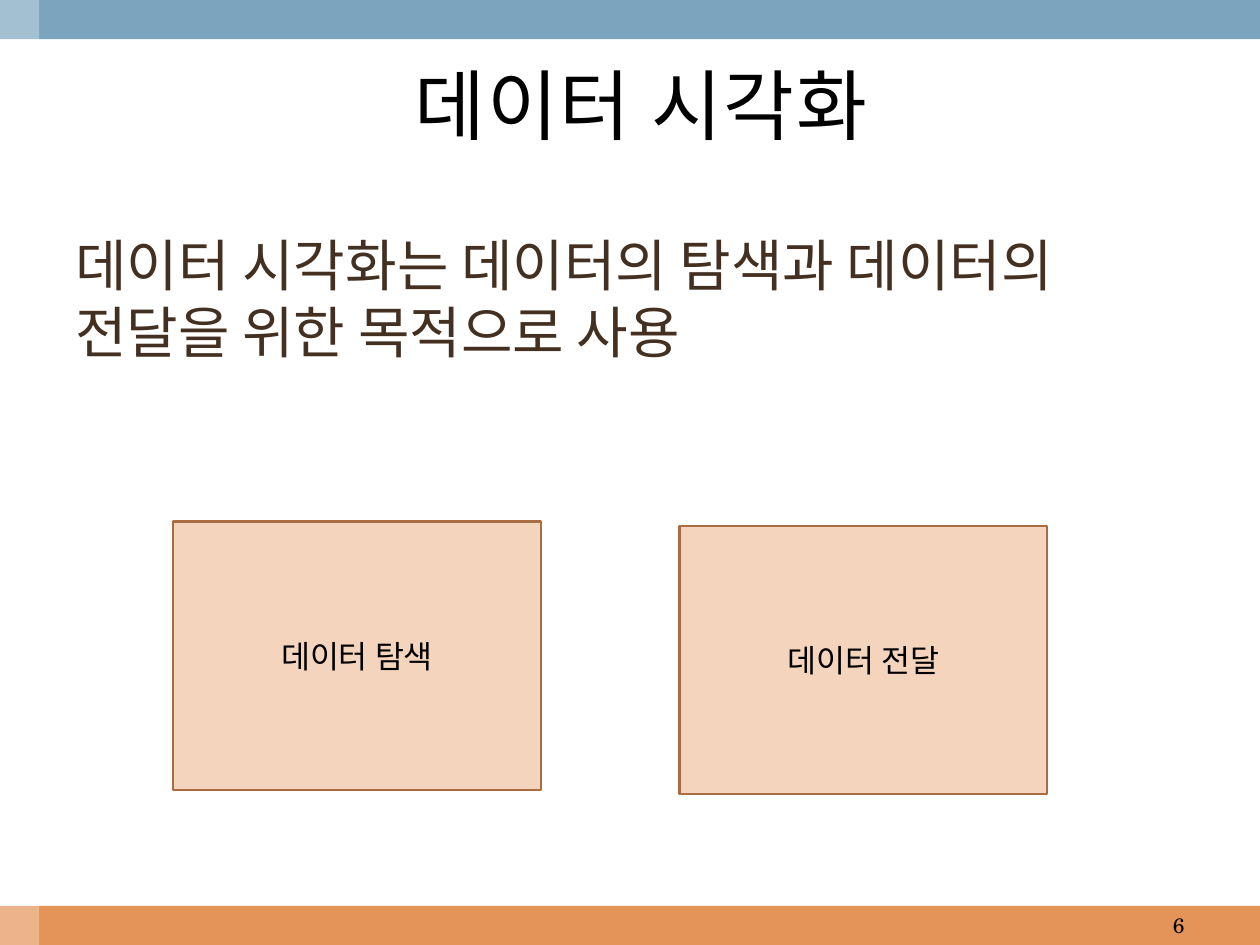
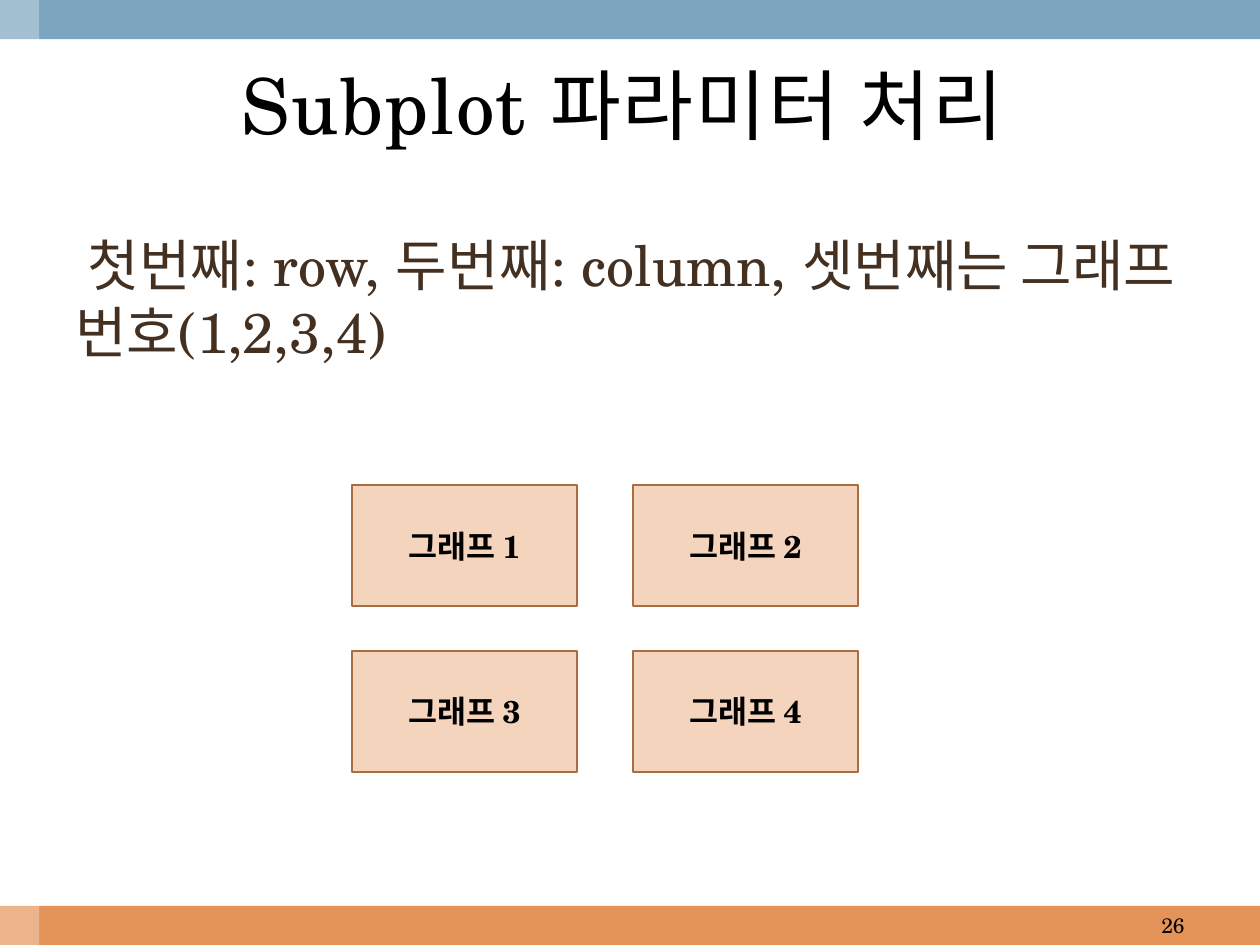
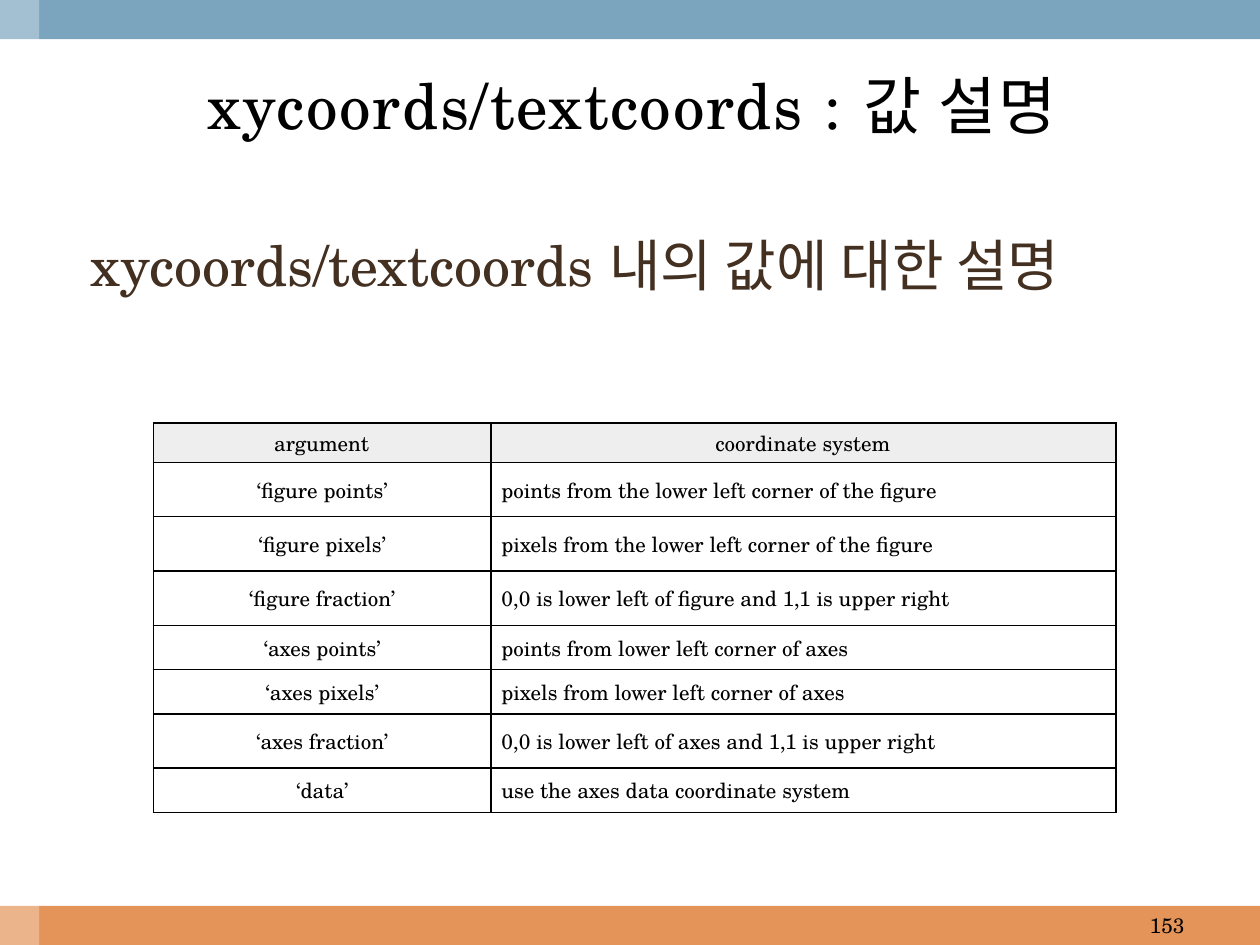
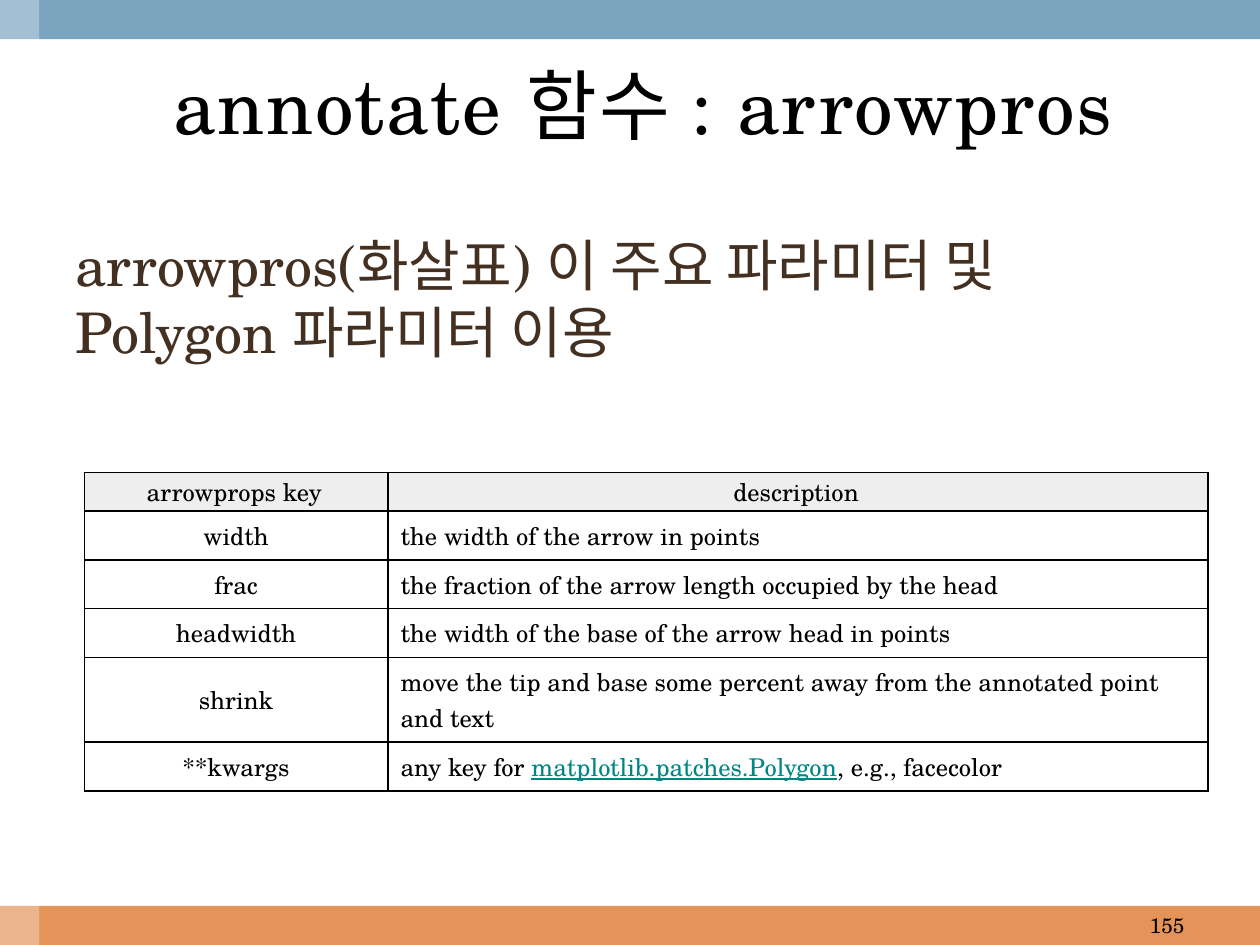
from lxml import etree
from pptx import Presentation
from pptx.dml.color import RGBColor
from pptx.enum.shapes import MSO_SHAPE
from pptx.enum.text import MSO_ANCHOR, PP_ALIGN
from pptx.oxml.ns import qn
from pptx.util import Pt

RECTANGLE = MSO_SHAPE.RECTANGLE
MIDDLE, TOP = MSO_ANCHOR.MIDDLE, MSO_ANCHOR.TOP
LEFT, CENTER, RIGHT = PP_ALIGN.LEFT, PP_ALIGN.CENTER, PP_ALIGN.RIGHT

FONT = "TeX Gyre Schola"
WIDTH, HEIGHT, BAND = 720, 540, 22.4
COLORS = {
    "top": "7BA5BE", "bottom": "E49458", "white": "FFFFFF", "black": "000000",
    "body": "433021", "box": "F4D4BC", "box line": "A96D41",
    "header": "EEEEEE", "link": "008685",
}
BODY_INSETS = (7.2, 3.6, 7.2, 3.6)


def rgb(name):
    return RGBColor.from_string(COLORS[name])


# Text
def set_format(target, values):
    for name, value in values.items():
        setattr(target, name, value)


def add_run(paragraph, text, size, color="black", **values):
    run = paragraph.add_run()
    run.text = text
    set_format(run.font, {"name": FONT, "size": Pt(size), **values})
    run.font.color.rgb = rgb(color)
    return run


def add_text(slide, box, text, size, color="black", align=LEFT, anchor=MIDDLE):
    frame = slide.shapes.add_textbox(*map(Pt, box)).text_frame
    set_format(frame, {"word_wrap": True, "vertical_anchor": anchor})
    paragraph = frame.paragraphs[0]
    paragraph.alignment = align
    return add_run(paragraph, text, size, color)


# Shapes
def add_rectangle(shapes, box, fill, line=None):
    shape = shapes.add_shape(RECTANGLE, *map(Pt, box))
    shape.shadow.inherit = False
    shape.fill.solid()
    shape.fill.fore_color.rgb = rgb(fill)
    if line:
        shape.line.color.rgb = rgb(line)
        shape.line.width = Pt(1.25)
    else:
        shape.line.fill.background()
    return shape


def add_labelled_box(shapes, box, label, bold=False):
    frame = add_rectangle(shapes, box, "box", "box line").text_frame
    set_format(frame, {"word_wrap": True, "vertical_anchor": MIDDLE})
    paragraph = frame.paragraphs[0]
    paragraph.alignment = CENTER
    add_run(paragraph, label, 18, bold=bold)


# Tables
def set_borders(cell):
    properties = cell._tc.get_or_add_tcPr()
    for index, side in enumerate(("lnL", "lnR", "lnT", "lnB")):
        line = etree.Element(qn("a:" + side), w=str(Pt(1)))
        fill = etree.SubElement(line, qn("a:solidFill"))
        etree.SubElement(fill, qn("a:srgbClr"), val=COLORS["black"])
        properties.insert(index, line)


def fill_cell(cell, content, size, fill, align, insets):
    sides = ("margin_left", "margin_top", "margin_right", "margin_bottom")
    set_format(cell, dict(zip(sides, map(Pt, insets)), vertical_anchor=MIDDLE))
    cell.fill.solid()
    cell.fill.fore_color.rgb = rgb(fill)
    set_borders(cell)
    paragraph = cell.text_frame.paragraphs[0]
    paragraph.alignment = align
    pieces = [(content, "black")] if isinstance(content, str) else content
    for text, color in pieces:
        add_run(paragraph, text, size, color, underline=color == "link")


def add_table(slide, left, top, widths, heights, rows, size, header_insets, column_insets):
    table = slide.shapes.add_table(
        len(rows), len(widths), Pt(left), Pt(top), Pt(sum(widths)), Pt(sum(heights))
    ).table
    set_format(table, {"first_row": False, "horz_banding": False})
    for column, width in zip(table.columns, widths):
        column.width = Pt(width)
    for row, height in zip(table.rows, heights):
        row.height = Pt(height)
    for row_index, row in enumerate(rows):
        for column_index, content in enumerate(row):
            is_header = row_index == 0
            fill_cell(
                table.cell(row_index, column_index), content, size,
                "header" if is_header else "white",
                CENTER if is_header or column_index == 0 else LEFT,
                header_insets if is_header else column_insets[column_index],
            )


# Bands, body, page number and title shared by all slides
def add_slide(presentation, title, body, number, title_size=44):
    slide = presentation.slides.add_slide(presentation.slide_layouts[6])
    add_rectangle(slide.shapes, (0, HEIGHT - BAND, WIDTH, BAND), "bottom")
    add_rectangle(slide.shapes, (0, 0, WIDTH, BAND), "top")
    side = add_rectangle(slide.shapes, (0, 0, BAND, HEIGHT), "white")
    color = side._element.spPr.find(qn("a:solidFill"))[0]
    etree.SubElement(color, qn("a:alpha"), val="30000")

    add_text(slide, (36, 128, 648, 130), body, 32, "body", anchor=TOP)
    add_text(slide, (516, HEIGHT - BAND, 168, BAND), str(number), 12, align=RIGHT)
    run = add_text(slide, (24, 22.5, 674, 74), title, title_size, align=CENTER)
    run.font._element.set("spc", "100")
    return slide


def build_purpose(presentation):
    slide = add_slide(
        presentation, " 데이터 시각화",
        "데이터 시각화는 데이터의 탐색과 데이터의 전달을 위한 목적으로 사용", 6)
    for left, top, label in ((99, 298, "데이터 탐색"), (388.3, 300.5, "데이터 전달")):
        add_labelled_box(slide.shapes, (left, top, 210, 153.4), label)


def build_subplots(presentation):
    slide = add_slide(
        presentation, "Subplot 파라미터 처리 ",
        " 첫번째: row, 두번째: column, 셋번째는 그래프 번호(1,2,3,4)", 26)
    grid = slide.shapes.add_group_shape().shapes
    for index in range(4):
        row, column = divmod(index, 2)
        box = (201.2 + 160.6 * column, 277.2 + 94.6 * row, 128.6, 69.3)
        add_labelled_box(grid, box, f"그래프 {index + 1}", bold=True)


def build_coordinates(presentation):
    slide = add_slide(
        presentation, "xycoords/textcoords : 값 설명",
        " xycoords/textcoords 내의 값에 대한 설명", 153, title_size=36)
    rows = [
        ("argument", "coordinate system"),
        ("‘figure points’", "points from the lower left corner of the figure"),
        ("‘figure pixels’", "pixels from the lower left corner of the figure"),
        ("‘figure fraction’", "0,0 is lower left of figure and 1,1 is upper right"),
        ("‘axes points’", "points from lower left corner of axes"),
        ("‘axes pixels’", "pixels from lower left corner of axes"),
        ("‘axes fraction’", "0,0 is lower left of axes and 1,1 is upper right"),
        ("‘data’", "use the axes data coordinate system"),
    ]
    tall, short = 31.1, 25.2
    heights = [22.5, tall, tall, tall, short, short, tall, short]
    add_table(slide, 87.7, 241.7, (193, 357), heights, rows, 12,
              (0.7, 0, 1.4, 0), ((1.4, 0.7, 1.4, 0.7), (5.8, 0.7, 1.4, 0.7)))


def build_arrow_keys(presentation):
    slide = add_slide(
        presentation, " annotate 함수 : arrowpros",
        "arrowpros(화살표) 이 주요 파라미터 및 Polygon 파라미터 이용", 155)
    polygon = [("any key for ", "black"), ("matplotlib.patches.Polygon", "link"),
               (", e.g., facecolor", "black")]
    rows = [
        ("arrowprops key", "description"),
        ("width", "the width of the arrow in points"),
        ("frac", "the fraction of the arrow length occupied by the head"),
        ("headwidth", "the width of the base of the arrow head in points"),
        ("shrink", "move the tip and base some percent away from the annotated point and text"),
        ("**kwargs", polygon),
    ]
    heights = [22, 27.9, 27.9, 27.9, 48.4, 27.9]
    add_table(slide, 48.2, 270, (173.5, 468.7), heights, rows, 14,
              (2.9, 0.7, 5, 0.7), (BODY_INSETS, BODY_INSETS))


def main():
    presentation = Presentation()
    presentation.slide_width, presentation.slide_height = Pt(WIDTH), Pt(HEIGHT)
    for build in (build_purpose, build_subplots, build_coordinates, build_arrow_keys):
        build(presentation)
    presentation.save("out.pptx")


if __name__ == "__main__":
    main()
